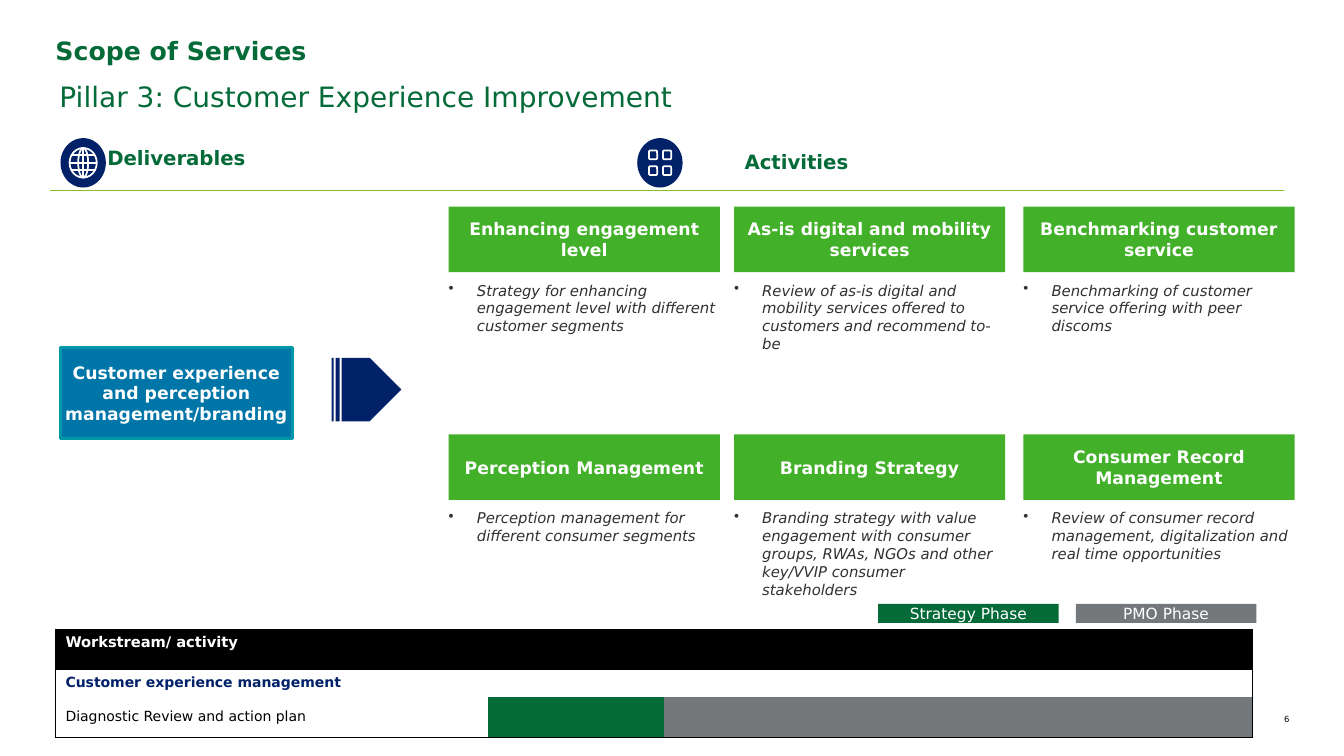
from lxml import etree
from pptx import Presentation
from pptx.dml.color import RGBColor
from pptx.enum.shapes import MSO_CONNECTOR, MSO_SHAPE
from pptx.enum.text import MSO_ANCHOR, PP_ALIGN
from pptx.oxml.ns import qn
from pptx.util import Inches, Pt

RECT, OVAL = MSO_SHAPE.RECTANGLE, MSO_SHAPE.OVAL
ROUND, ARROW = MSO_SHAPE.ROUNDED_RECTANGLE, MSO_SHAPE.STRIPED_RIGHT_ARROW
LINE = MSO_CONNECTOR.STRAIGHT
TOP, MID = MSO_ANCHOR.TOP, MSO_ANCHOR.MIDDLE
LEFT, CENTER, RIGHT = PP_ALIGN.LEFT, PP_ALIGN.CENTER, PP_ALIGN.RIGHT
JUSTIFY = PP_ALIGN.JUSTIFY

WHITE = RGBColor(0xFF, 0xFF, 0xFF)
BLACK = RGBColor(0, 0, 0)
INK = RGBColor(0x31, 0x31, 0x31)
GREEN = RGBColor(0x04, 0x6A, 0x38)
LEAF = RGBColor(0x43, 0xB0, 0x2A)
LIME = RGBColor(0x86, 0xBC, 0x25)
NAVY = RGBColor(0x01, 0x21, 0x69)
BLUE = RGBColor(0x00, 0x76, 0xA8)
TEAL = RGBColor(0x00, 0x97, 0xA9)
GRAY = RGBColor(0x75, 0x78, 0x7B)
FONT = "DejaVu Sans"

CARDS = [
    [("Enhancing engagement level",
      "Strategy for enhancing engagement level with different customer segments"),
     ("As-is digital and mobility services",
      "Review of as-is digital and mobility services offered to customers and recommend to-be"),
     ("Benchmarking customer service",
      "Benchmarking of customer service offering with peer discoms")],
    [("Perception Management",
      "Perception management for different consumer segments"),
     ("Branding Strategy",
      "Branding strategy with value engagement with consumer groups, RWAs, NGOs and other "
      "key/VVIP consumer stakeholders"),
     ("Consumer Record Management",
      "Review of consumer record management, digitalization and real time opportunities")],
]


def say(frame, text, size=12.3, color=WHITE, bold=False, italic=False,
        align=CENTER, anchor=MID, inset=(0, 0), bullet=False):
    frame.word_wrap = True
    frame.vertical_anchor = anchor
    frame.margin_left = frame.margin_right = Inches(inset[0])
    frame.margin_top = frame.margin_bottom = Inches(inset[1])
    para = frame.paragraphs[0]
    para.text = text
    para.alignment = align
    if bullet:
        props = para._p.get_or_add_pPr()
        props.set("marL", str(Inches(0.28)))
        props.set("indent", str(Inches(-0.28)))
        etree.SubElement(props, qn("a:buChar"), char="•")
    font = para.runs[0].font
    font.name, font.size, font.color.rgb = FONT, Pt(size), color
    font.bold, font.italic = bold, italic


def label(slide, box, text, **form):
    say(slide.shapes.add_textbox(*map(Inches, box)).text_frame, text, **form)


def shape(slide, kind, box, fill=None, line=None, width=1):
    item = slide.shapes.add_shape(kind, *map(Inches, box))
    item.shadow.inherit = False
    if fill is None:
        item.fill.background()
    else:
        item.fill.solid()
        item.fill.fore_color.rgb = fill
    if line is None:
        item.line.fill.background()
    else:
        item.line.color.rgb = line
        item.line.width = Pt(width)
    return item


def rule(slide, ends, color, width):
    item = slide.shapes.add_connector(LINE, *map(Inches, ends))
    item.line.color.rgb = color
    item.line.width = Pt(width)
    etree.SubElement(item._element.spPr, qn("a:effectLst"))


def globe(slide, box):
    x, y, w, h = box
    shape(slide, OVAL, box, NAVY)
    for part in (0.6, 0.22):
        ring = (x + w * (1 - part) / 2, y + h * 0.2, w * part, h * 0.6)
        shape(slide, OVAL, ring, None, WHITE, 1.25)
    rule(slide, (x + w / 2, y + h * 0.2, x + w / 2, y + h * 0.8), WHITE, 1.25)
    for row, half in ((0.35, 0.25), (0.5, 0.3), (0.65, 0.25)):
        rule(slide, (x + w * (0.5 - half), y + h * row,
                     x + w * (0.5 + half), y + h * row), WHITE, 1.25)


def tiles(slide, box):
    x, y, w, h = box
    shape(slide, OVAL, box, NAVY)
    for row in (0.25, 0.57):
        for col in (0.26, 0.57):
            tile = (x + w * col, y + h * row, w * 0.18, h * 0.18)
            shape(slide, ROUND, tile, None, WHITE, 1.25)


def head(slide, box):
    x, y, w, h = box
    title = slide.shapes.title
    title.left, title.top = Inches(x), Inches(y)
    title.width, title.height = Inches(w), Inches(0.37)
    say(title.text_frame, "Scope of Services", size=18, color=GREEN, bold=True,
        align=LEFT, anchor=TOP)
    label(slide, (x, y + 0.4, w * 0.75, h - 0.4),
          "Pillar 3: Customer Experience Improvement", size=20, color=GREEN,
          align=JUSTIFY, anchor=TOP, inset=(0.04, 0.04))


def band(slide, box):
    x, y, w, h = box
    globe(slide, (x + 0.1, y, 0.45, 0.49))
    tiles(slide, (x + 5.82, y, 0.45, 0.49))
    form = dict(size=14.1, color=GREEN, bold=True, inset=(0.11, 0.11))
    label(slide, (x + 0.42, y, 1.66, 0.39), "Deliverables", **form)
    label(slide, (x + 6.02, y, 2.76, 0.47), "Activities", **form)
    rule(slide, (x, y + h, x + w, y + h), LIME, 0.75)


def goal(slide, box):
    x, y, w, h = box
    item = shape(slide, RECT, (x, y, w * 0.68, h), BLUE, TEAL, 2)
    say(item.text_frame, "Customer experience and perception management/branding",
        bold=True, inset=(0, 0.06))
    arrow = shape(slide, ARROW, (x + w - 0.69, y + 0.1, 0.69, 0.63), NAVY)
    arrow.adjustments[0], arrow.adjustments[1] = 1, 0.5


def card(slide, box, name, text):
    x, y, w, h = box
    item = shape(slide, RECT, (x, y, w, 0.65), LEAF)
    say(item.text_frame, name, bold=True, inset=(0.11, 0.06))
    label(slide, (x, y + 0.74, w - 0.01, h - 0.74), text, size=10.6, color=INK,
          italic=True, align=LEFT, anchor=TOP, bullet=True)


def edge(cell, sides):
    props = cell._tc.get_or_add_tcPr()
    for side in "LRTB":
        line = etree.SubElement(props, qn("a:ln" + side), w=str(Pt(0.75)))
        if side in sides:
            fill = etree.SubElement(line, qn("a:solidFill"))
            etree.SubElement(fill, qn("a:srgbClr"), val=str(BLACK))
        else:
            etree.SubElement(line, qn("a:noFill"))


def plan(slide, box):
    x, y, w, h = box
    rows, cols, first = (0.4, 0.27, 0.41), 14, 4.29
    grid = slide.shapes.add_table(len(rows), cols, *map(Inches, box)).table
    grid.first_row = grid.horz_banding = False
    for col in range(cols):
        grid.columns[col].width = Inches(first if col == 0 else (w - first) / (cols - 1))
    for row, high in enumerate(rows):
        grid.rows[row].height = Inches(high)
        for col in range(cols):
            cell = grid.cell(row, col)
            sides = ("T", "TB", "B")[row]
            sides += "L" if col == 0 else ""
            sides += "R" if col == cols - 1 or (row, col) in ((1, 0), (2, 4)) else ""
            edge(cell, sides)
            phase = WHITE if col == 0 else GREEN if col < 4 else GRAY
            cell.fill.solid()
            cell.fill.fore_color.rgb = (BLACK, WHITE, phase)[row]
    grid.cell(1, 0).merge(grid.cell(1, cols - 1))
    grid.cell(2, 4).merge(grid.cell(2, cols - 1))
    texts = (("Workstream/ activity", 10.5, WHITE, True, TOP),
             ("Customer experience management", 10, NAVY, True, MID),
             ("Diagnostic Review and action plan", 10, BLACK, False, MID))
    for row, (text, size, color, bold, anchor) in enumerate(texts):
        cell = grid.cell(row, 0)
        say(cell.text_frame, text, size=size, color=color, bold=bold, align=LEFT)
        cell.vertical_anchor = anchor
        cell.margin_left = cell.margin_right = Inches(0.1)
        cell.margin_top = cell.margin_bottom = Inches(0.05)


def key(slide, box):
    x, y, w, h = box
    for col, (text, fill) in enumerate((("Strategy Phase", GREEN), ("PMO Phase", GRAY))):
        item = shape(slide, RECT, (x + col * (w - 1.79), y, 1.79, h), fill)
        say(item.text_frame, text, size=11)


def main():
    deck = Presentation()
    deck.slide_width, deck.slide_height = Inches(13.33), Inches(7.5)
    slide = deck.slides.add_slide(deck.slide_layouts[5])
    head(slide, (0.55, 0.35, 12.21, 0.82))
    band(slide, (0.5, 1.37, 12.23, 0.52))
    goal(slide, (0.6, 3.45, 3.38, 0.9))
    for y, line in zip((2.05, 4.31), CARDS):
        for x, (name, text) in zip((4.45, 7.28, 10.15), line):
            card(slide, (x, y, 2.69, 1.63), name, text)
    plan(slide, (0.55, 6.24, 11.88, 1.08))
    key(slide, (8.71, 5.99, 3.75, 0.19))
    label(slide, (12.45, 7.08, 0.34, 0.11), "6", size=6, color=BLACK,
          align=RIGHT, anchor=TOP)
    deck.save("out.pptx")


if __name__ == "__main__":
    main()
